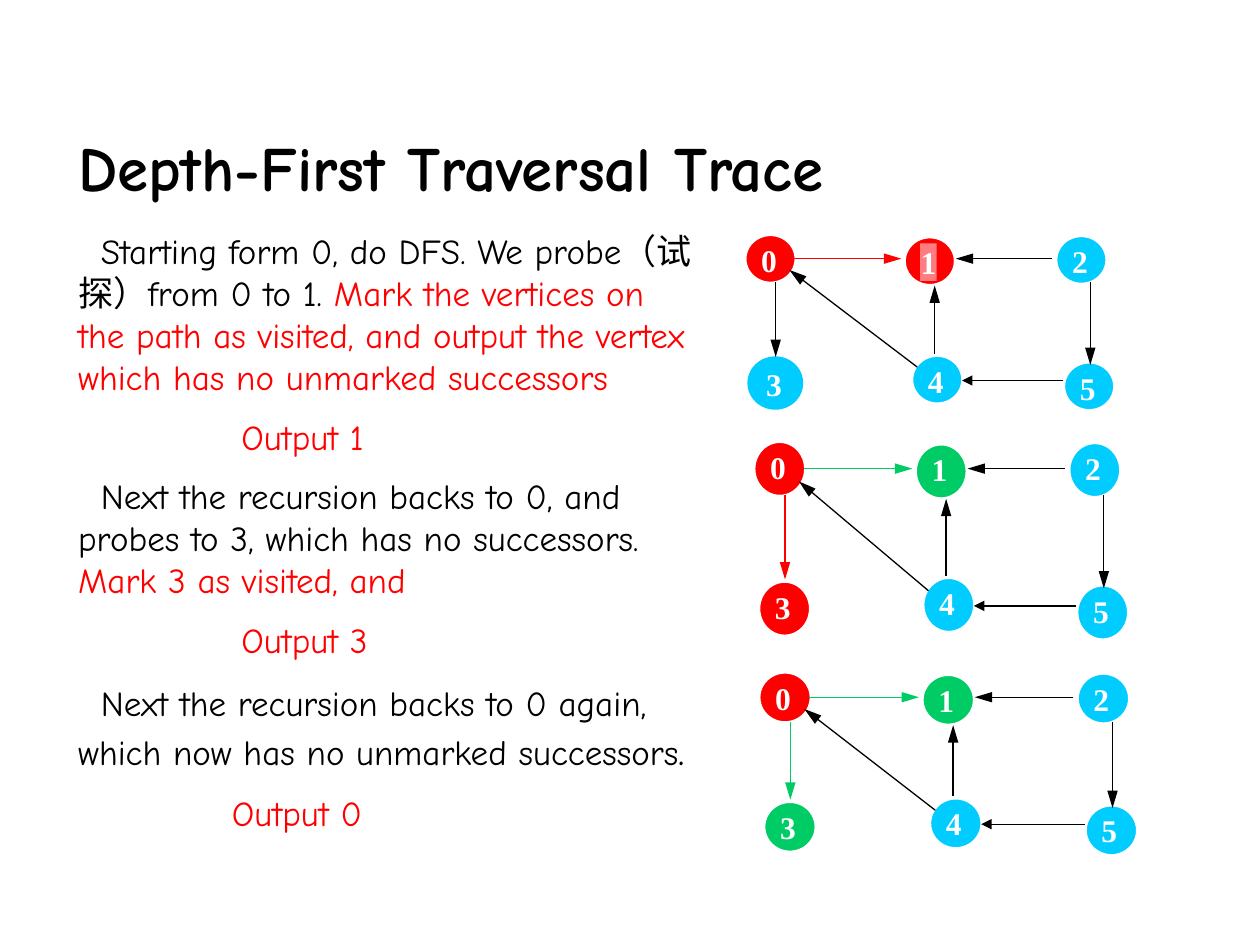
import pptx
import pptx.util
import pptx.dml.color
import pptx.enum.text
import pptx.enum.shapes
import pptx.oxml.ns
import lxml.etree as etree

Cm, Pt = pptx.util.Cm, pptx.util.Pt
qn = pptx.oxml.ns.qn
Align, Anchor = pptx.enum.text.PP_ALIGN, pptx.enum.text.MSO_ANCHOR
Fit = pptx.enum.text.MSO_AUTO_SIZE

SANS, SERIF = "Comic Neue", "Times New Roman"
BLACK, WHITE, PINK = "000000", "FFFFFF", "FF7C80"
RED, GREEN, BLUE = "FF0000", "00CC66", "00CCFF"

# Node corners and edge ends, in percent of the graph box
NODES = {4: (45, 68.4), 3: (1.3, 70.3), 5: (86, 72.2),
         2: (83.9, 0.6), 1: (43, 1.3), 0: (0, 0)}
EDGES = {(0, 3): (8.4, 27.2, 8.4, 69.6),
         (0, 1): (13.4, 13.9, 42.3, 13.9),
         (4, 0): (46.6, 75.3, 12.1, 20.3),
         (4, 1): (51.3, 67.7, 51.3, 29.1),
         (5, 4): (86, 82.9, 58.7, 82.9),
         (2, 5): (93.3, 27.2, 93.3, 74.1),
         (2, 1): (82.9, 13.9, 57, 13.9)}

# Box, node colours, edge colours, label fills, rims
GRAPHS = [
    ((15.01, 4.72, 7.47, 3.56), {0: RED, 1: RED},
     {(0, 1): RED}, {1: PINK}, {3: BLUE}),
    ((15.19, 8.89, 7.57, 4.01), {0: RED, 1: GREEN, 3: RED},
     {(0, 1): GREEN, (0, 3): RED}, {}, {}),
    ((15.29, 13.54, 7.65, 3.71), {0: RED, 1: GREEN, 3: GREEN},
     {(0, 1): GREEN, (0, 3): GREEN}, {}, {}),
]

# Indent in cm, space before in pt, runs of text, colour and size
STEPS = [
    (0.46, 0, [("Starting form 0, do DFS. We probe（试探）from 0 to 1. ", BLACK, 20),
               ("Mark the vertices on the path as visited, and output the "
                "vertex which has no unmarked successors", RED, 20)]),
    (3.29, 10, [("Output 1", RED, 20)]),
    (0.46, 10, [("Next the recursion backs to 0, and probes to 3, "
                 "which has no successors. ", BLACK, 20),
                ("Mark 3 as visited, and", RED, 20)]),
    (3.29, 10, [("Output 3", RED, 20)]),
    (0.46, 12, [("Next the recursion backs to 0 again, which now has "
                 "no unmarked successors", BLACK, 20), (".", BLACK, 24)]),
    (3.1, 10, [("Output 0", RED, 20)]),
]


def rgb(code):
    return pptx.dml.color.RGBColor.from_string(code)


def style(font, name, size, code, bold=False):
    font.name, font.size, font.bold = name, Pt(size), bold
    font.color.rgb = rgb(code)


def place(shape, box):
    shape.left, shape.top, shape.width, shape.height = map(Cm, box)


def add_title(slide, box):
    title = slide.shapes.title
    place(title, box)
    frame = title.text_frame
    frame.text = "Depth-First Traversal Trace"
    frame.vertical_anchor = Anchor.BOTTOM
    frame.auto_size = Fit.NONE
    para = frame.paragraphs[0]
    para.alignment = Align.LEFT
    style(para.runs[0].font, SANS, 36, BLACK, True)


def add_steps(slide, box):
    body = slide.placeholders[1]
    place(body, box)
    frame = body.text_frame
    frame.auto_size = Fit.SHAPE_TO_FIT_TEXT
    for i, (indent, gap, parts) in enumerate(STEPS):
        para = frame.add_paragraph() if i else frame.paragraphs[0]
        props = para._p.get_or_add_pPr()
        props.set("marL", "0")
        props.set("indent", str(Cm(indent)))
        etree.SubElement(props, qn("a:buNone"))
        para.space_before = Pt(gap)
        for text, code, size in parts:
            run = para.add_run()
            run.text = text
            style(run.font, SANS, size, code)


def add_node(group, name, box, code, rim, back):
    left, top, width, height = box
    oval = group.shapes.add_shape(
        pptx.enum.shapes.MSO_SHAPE.OVAL, *map(Cm, box))
    oval.shadow.inherit = False
    oval.fill.solid()
    oval.fill.fore_color.rgb = rgb(code)
    oval.line.color.rgb = rgb(rim)
    oval.line.width = Pt(2.25)
    # Number on the node
    label = group.shapes.add_textbox(
        Cm(left + 0.33), Cm(top + 0.14), Cm(0.33), Cm(0.76))
    if back != BLUE:
        label.fill.solid()
        label.fill.fore_color.rgb = rgb(back)
    frame = label.text_frame
    frame.margin_left = frame.margin_right = 0
    frame.margin_top = frame.margin_bottom = 0
    frame.word_wrap = False
    frame.auto_size = Fit.SHAPE_TO_FIT_TEXT
    frame.text = str(name)
    para = frame.paragraphs[0]
    para.alignment = Align.CENTER
    style(para.runs[0].font, SERIF, 18, WHITE, True)


def add_edge(group, ends, code, length):
    edge = group.shapes.add_connector(
        pptx.enum.shapes.MSO_CONNECTOR.STRAIGHT, *map(Cm, ends))
    edge.line.color.rgb = rgb(code)
    edge.line.width = Pt(0.75)
    etree.SubElement(edge.line._get_or_add_ln(), qn("a:tailEnd"),
                     type="triangle", w="med", len=length)
    etree.SubElement(edge._element.spPr, qn("a:effectLst"))


def add_graph(slide, box, nodes, edges, backs, rims):
    left, top, width, height = box

    def spot(x, y):
        return left + width * x / 100, top + height * y / 100

    group = slide.shapes.add_group_shape()
    for name, corner in NODES.items():
        code = nodes.get(name, BLUE)
        area = (*spot(*corner), width * 0.14, height * 0.28)
        add_node(group, name, area, code,
                 rims.get(name, WHITE), backs.get(name, code))
    for pair, (x1, y1, x2, y2) in EDGES.items():
        add_edge(group, spot(x1, y1) + spot(x2, y2),
                 edges.get(pair, BLACK), "med" if pair == (5, 4) else "lg")


def main():
    deck = pptx.Presentation()
    deck.slide_width, deck.slide_height = Cm(25.4), Cm(19.05)
    slide = deck.slides.add_slide(deck.slide_layouts[1])
    add_title(slide, (1.32, 2.39, 21.95, 1.85))
    add_steps(slide, (1.32, 4.5, 12.98, 13.44))
    for graph in GRAPHS:
        add_graph(slide, *graph)
    deck.save("out.pptx")


if __name__ == "__main__":
    main()
